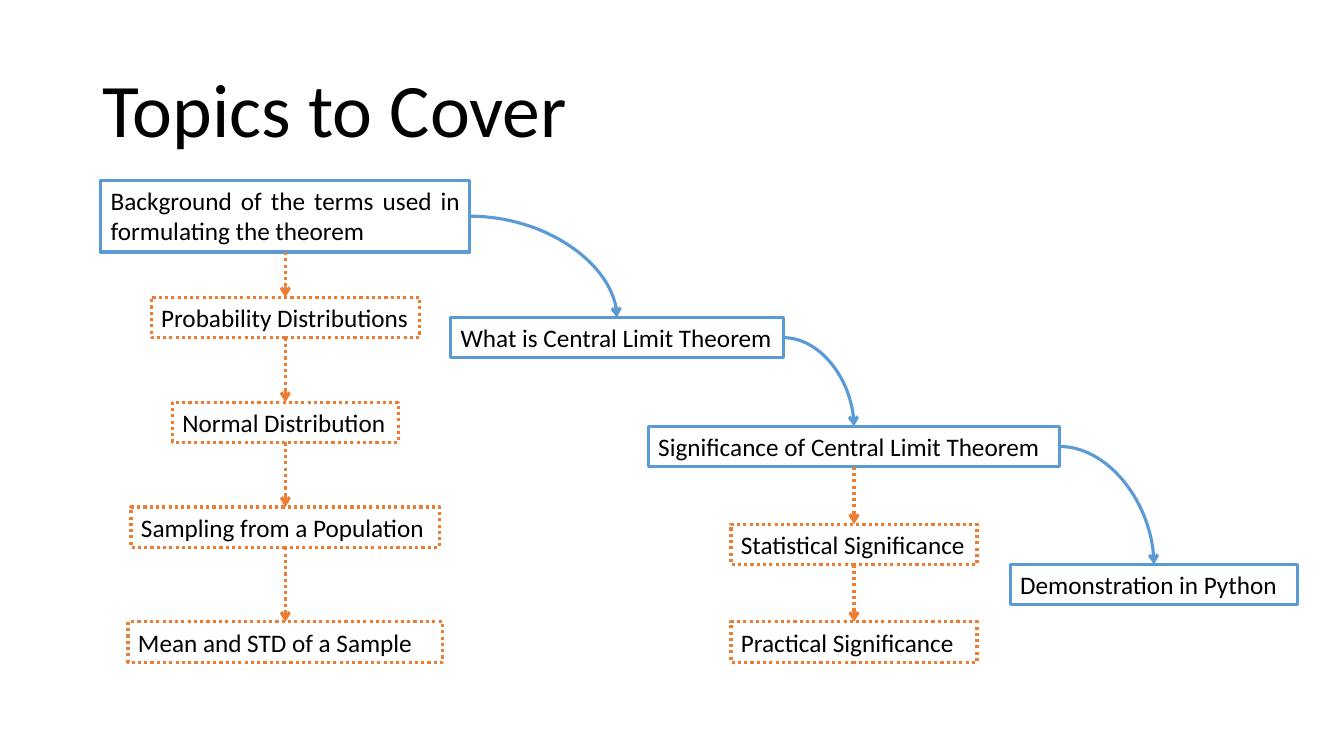
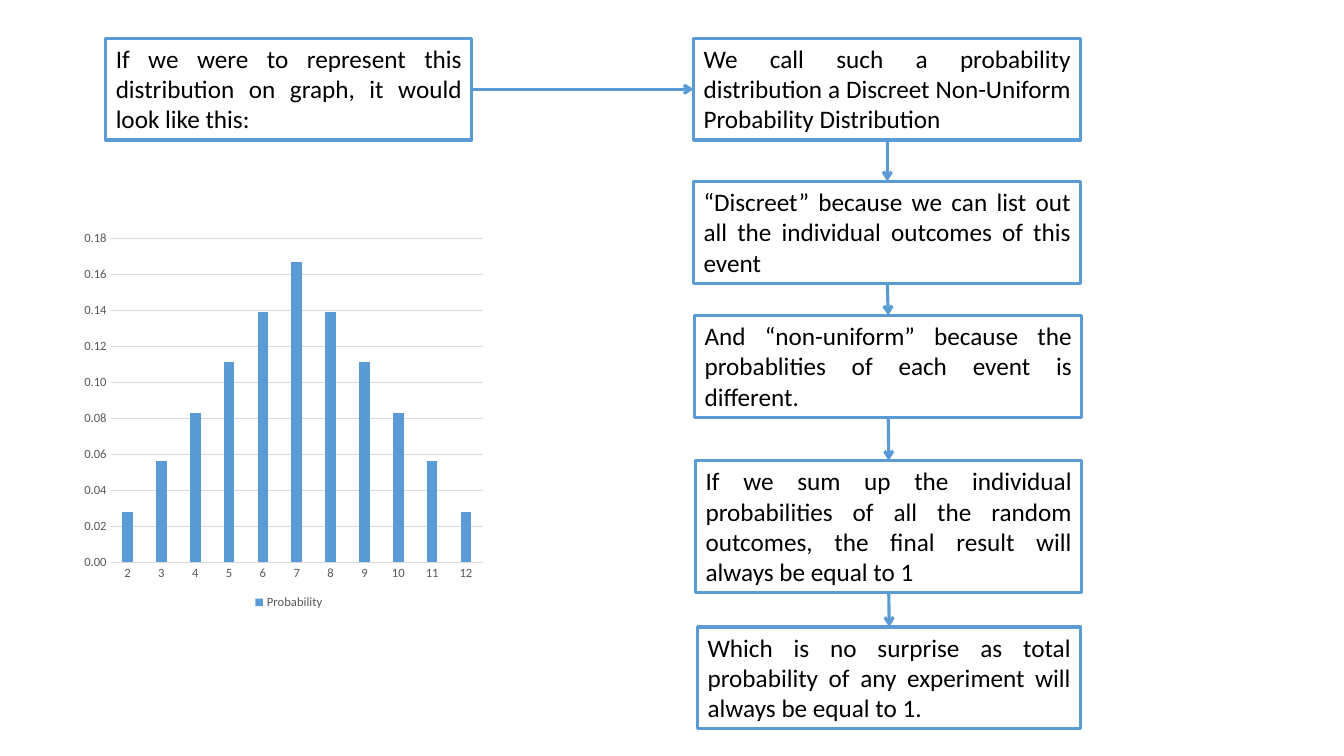
from lxml import etree
from pptx import Presentation
from pptx.chart.data import CategoryChartData
from pptx.dml.color import RGBColor
from pptx.enum.chart import XL_CHART_TYPE, XL_LEGEND_POSITION, XL_TICK_MARK
from pptx.enum.dml import MSO_LINE
from pptx.enum.shapes import MSO_CONNECTOR
from pptx.enum.text import MSO_ANCHOR, MSO_AUTO_SIZE, PP_ALIGN
from pptx.oxml.ns import qn
from pptx.util import Inches, Pt

LEFT, JUSTIFY = PP_ALIGN.LEFT, PP_ALIGN.JUSTIFY
DOTTED = MSO_LINE.ROUND_DOT
STRAIGHT, CURVE = MSO_CONNECTOR.STRAIGHT, MSO_CONNECTOR.CURVE
NO_TICKS = XL_TICK_MARK.NONE
TOP, LEFT_SIDE, BOTTOM, RIGHT_SIDE = range(4)

FONT = "Calibri"
BLACK, BLUE, ORANGE = "000000", "5B9BD5", "ED7D31"
LABEL_GRAY, GRID_GRAY = "595959", "D9D9D9"


def rgb(value):
    return RGBColor.from_string(value)


def style_line(line, color):
    """Main topics are solid blue; subtopics are dotted orange."""
    line.color.rgb = rgb(color)
    line.width = Pt(2.25)
    if color == ORANGE:
        line.dash_style = DOTTED


presentation = Presentation()
presentation.slide_width = Inches(13.33)
presentation.slide_height = Inches(7.5)
blank = presentation.slide_layouts[6]
topics_slide = presentation.slides.add_slide(blank)
distribution_slide = presentation.slides.add_slide(blank)

# Title
title = topics_slide.shapes.add_textbox(Inches(0.92), Inches(0.4), Inches(11.5), Inches(1.45))
title.text_frame.word_wrap = True
title.text_frame.vertical_anchor = MSO_ANCHOR.MIDDLE
paragraph = title.text_frame.paragraphs[0]
paragraph.line_spacing = 0.9
run = paragraph.add_run()
run.text = "Topics to Cover"
run.font.name = FONT
run.font.size = Pt(54)
run.font.color.rgb = rgb(BLACK)

# Boxes: key, left, top, width, height, line colour, alignment, text
topic_boxes = [
    ("background", 1, 1.79, 3.66, 0.71, BLUE, JUSTIFY,
     "Background of the terms used in formulating the theorem"),
    ("distributions", 1.5, 2.95, 2.66, 0.4, ORANGE, LEFT, "Probability Distributions"),
    ("normal", 1.71, 3.99, 2.24, 0.4, ORANGE, JUSTIFY, "Normal Distribution"),
    ("sampling", 1.3, 5.03, 3.06, 0.4, ORANGE, LEFT, "Sampling from a Population"),
    ("mean", 1.27, 6.17, 3.12, 0.4, ORANGE, LEFT, "Mean and STD of a Sample"),
    ("theorem", 4.47, 3.15, 3.3, 0.4, BLUE, JUSTIFY, "What is Central Limit Theorem"),
    ("significance", 6.43, 4.23, 4.08, 0.4, BLUE, LEFT,
     "Significance of Central Limit Theorem"),
    ("statistical", 7.25, 5.2, 2.44, 0.4, ORANGE, LEFT, "Statistical Significance"),
    ("practical", 7.25, 6.17, 2.44, 0.4, ORANGE, JUSTIFY, "Practical Significance"),
    ("demonstration", 10.02, 5.6, 2.85, 0.4, BLUE, LEFT, "Demonstration in Python"),
]
distribution_boxes = [
    ("graph", 1.05, 0.38, 3.63, 1.01, BLUE, JUSTIFY,
     "If we were to represent this distribution on graph, it would look like this:"),
    ("name", 6.88, 0.38, 3.84, 1.01, BLUE, JUSTIFY,
     "We call such a probability distribution a Discreet Non-Uniform Probability Distribution"),
    ("discreet", 6.88, 1.8, 3.84, 1.01, BLUE, JUSTIFY,
     "“Discreet” because we can list out all the individual outcomes of this event"),
    ("non-uniform", 6.89, 3.13, 3.84, 1.01, BLUE, JUSTIFY,
     "And “non-uniform” because the probablities of each event is different."),
    ("sum", 6.9, 4.57, 3.83, 1.31, BLUE, JUSTIFY,
     "If we sum up the individual probabilities of all the random outcomes, "
     "the final result will always be equal to 1"),
    ("total", 6.92, 6.22, 3.8, 1.01, BLUE, JUSTIFY,
     "Which is no surprise as total probability of any experiment will always be equal to 1."),
]

# Chains of boxes: keys, connector type, start side, end side, line colour
topic_chains = [
    (["background", "distributions", "normal", "sampling", "mean"],
     STRAIGHT, BOTTOM, TOP, ORANGE),
    (["background", "theorem", "significance", "demonstration"],
     CURVE, RIGHT_SIDE, TOP, BLUE),
    (["significance", "statistical", "practical"], STRAIGHT, BOTTOM, TOP, ORANGE),
]
distribution_chains = [
    (["graph", "name"], STRAIGHT, RIGHT_SIDE, LEFT_SIDE, BLUE),
    (["name", "discreet", "non-uniform", "sum", "total"], STRAIGHT, BOTTOM, TOP, BLUE),
]

# Draw the boxes and the arrows between them
for slide, boxes, chains in (
    (topics_slide, topic_boxes, topic_chains),
    (distribution_slide, distribution_boxes, distribution_chains),
):
    shapes = {}
    for key, left, top, width, height, color, alignment, text in boxes:
        shape = slide.shapes.add_textbox(Inches(left), Inches(top), Inches(width), Inches(height))
        shapes[key] = shape
        style_line(shape.line, color)
        shape.text_frame.word_wrap = True
        shape.text_frame.auto_size = MSO_AUTO_SIZE.SHAPE_TO_FIT_TEXT
        paragraph = shape.text_frame.paragraphs[0]
        paragraph.alignment = alignment
        run = paragraph.add_run()
        run.text = text
        run.font.name = FONT
        run.font.size = Pt(18)
        run.font.color.rgb = rgb(BLACK)

    for keys, connector_type, start_side, end_side, color in chains:
        for start, end in zip(keys, keys[1:]):
            connector = slide.shapes.add_connector(connector_type, 0, 0, 0, 0)
            connector.begin_connect(shapes[start], start_side)
            connector.end_connect(shapes[end], end_side)
            style_line(connector.line, color)
            properties = connector._element.spPr
            if connector_type == CURVE:
                # A single quarter bend instead of an S-curve
                properties.find(qn("a:prstGeom")).set("prst", "curvedConnector2")
            etree.SubElement(connector.line._get_or_add_ln(), qn("a:tailEnd"), type="arrow")
            etree.SubElement(properties, qn("a:effectLst"))

# Probability chart
chart_data = CategoryChartData(number_format="0.00")
chart_data.categories = [str(total) for total in range(2, 13)]
rising = [0.028, 0.056, 0.083, 0.111, 0.139]
chart_data.add_series("Probability", rising + [0.167] + rising[::-1])
chart = distribution_slide.shapes.add_chart(
    XL_CHART_TYPE.COLUMN_CLUSTERED,
    Inches(0.74), Inches(2.07), Inches(4.25), Inches(4.02), chart_data,
).chart
chart.has_title = False
chart.font.name = FONT
chart.font.size = Pt(9)
chart.font.color.rgb = rgb(LABEL_GRAY)
chart.has_legend = True
chart.legend.position = XL_LEGEND_POSITION.BOTTOM
chart.legend.include_in_layout = False

plot = chart.plots[0]
plot.gap_width = 219
plot.overlap = -27
plot.vary_by_categories = False
fill = plot.series[0].format.fill
fill.solid()
fill.fore_color.rgb = rgb(BLUE)

value_axis = chart.value_axis
value_axis.minimum_scale = 0
value_axis.maximum_scale = 0.18
value_axis.major_unit = 0.02
value_axis.tick_labels.number_format = "0.00"
value_axis.tick_labels.number_format_is_linked = False
value_axis.format.line.fill.background()
for axis in (chart.category_axis, value_axis):
    axis.major_tick_mark = NO_TICKS
    axis.minor_tick_mark = NO_TICKS
for line in (chart.category_axis.format.line, value_axis.major_gridlines.format.line):
    line.color.rgb = rgb(GRID_GRAY)
    line.width = Pt(0.75)

# Fixed inner plot area
plot_area = chart._chartSpace.chart.plotArea
for layout in plot_area.findall(qn("c:layout")):
    plot_area.remove(layout)
layout = etree.Element(qn("c:layout"))
plot_area.insert(0, layout)
manual = etree.SubElement(layout, qn("c:manualLayout"))
for tag, value in (
    ("layoutTarget", "inner"), ("xMode", "edge"), ("yMode", "edge"),
    ("x", "0.084"), ("y", "0.073"), ("w", "0.869"), ("h", "0.8"),
):
    etree.SubElement(manual, qn("c:" + tag), val=value)

presentation.save("out.pptx")
